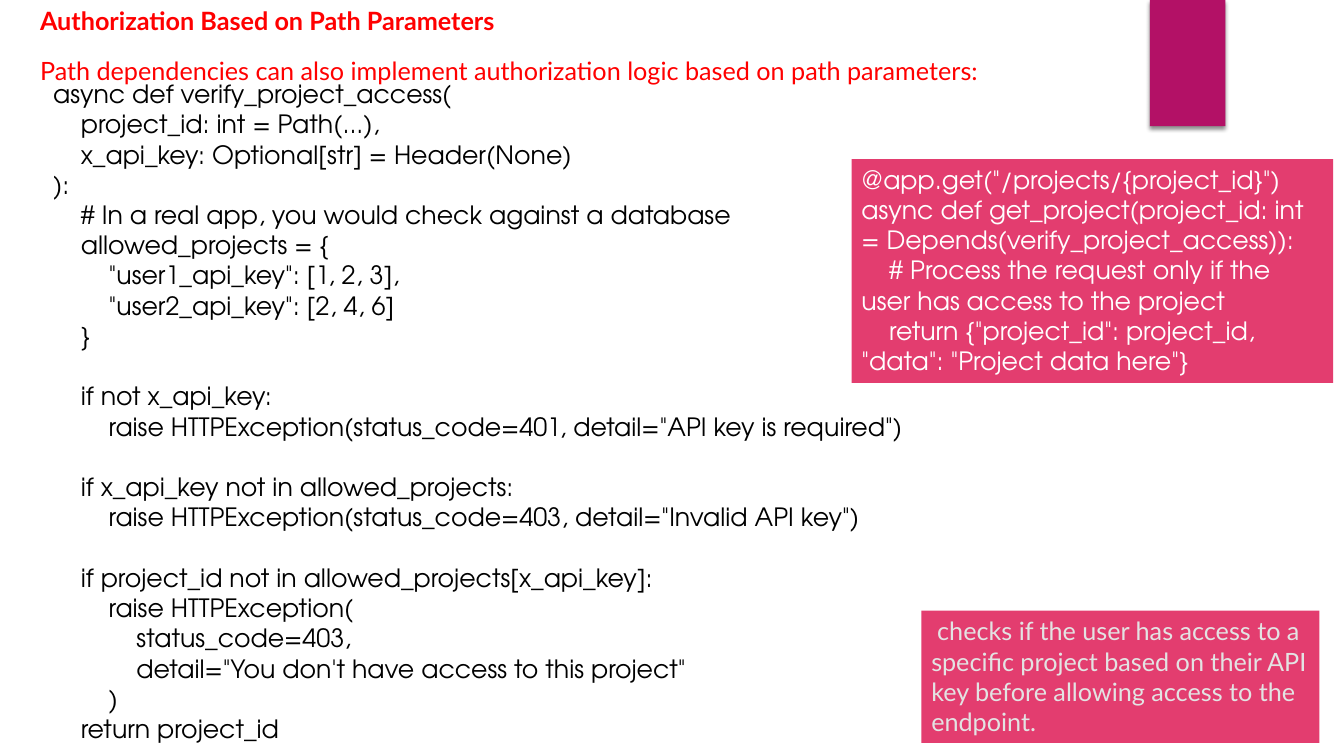
import pptx
import pptx.util
import pptx.dml.color
import pptx.enum.shapes
import pptx.enum.text
import pptx.oxml
import pptx.oxml.ns

Cm, Pt = pptx.util.Cm, pptx.util.Pt
RGBColor = pptx.dml.color.RGBColor

BLACK = RGBColor(0x00, 0x00, 0x00)
WHITE = RGBColor(0xFF, 0xFF, 0xFF)
RED = RGBColor(0xFF, 0x00, 0x00)
PALE_GREY = RGBColor(0xE3, 0xE3, 0xE3)
MAGENTA = RGBColor(0xB3, 0x11, 0x66)
PINK = RGBColor(0xE3, 0x3D, 0x6F)

PROSE_FONT, CODE_FONT = "Lato", "TeX Gyre Adventor"
CODE_INDENT = 0.7
BLANK_LINE = Pt(21.6)

HEADING = "Authorization Based on Path Parameters"
SUBHEADING = "Path dependencies can also implement authorization logic based on path parameters:"
DEPENDENCY_BLOCKS = [
    [
        (0, "async def verify_project_access("),
        (1, "project_id: int = Path(...),"),
        (1, "x_api_key: Optional[str] = Header(None)"),
        (0, "):"),
        (1, "# In a real app, you would check against a database"),
        (1, "allowed_projects = {"),
        (2, '"user1_api_key": [1, 2, 3],'),
        (2, '"user2_api_key": [2, 4, 6]'),
        (1, "}"),
    ],
    [
        (1, "if not x_api_key:"),
        (2, 'raise HTTPException(status_code=401, detail="API key is required")'),
    ],
    [
        (1, "if x_api_key not in allowed_projects:"),
        (2, 'raise HTTPException(status_code=403, detail="Invalid API key")'),
    ],
    [
        (1, "if project_id not in allowed_projects[x_api_key]:"),
        (2, "raise HTTPException("),
        (3, "status_code=403,"),
        (3, 'detail="You don\'t have access to this project"'),
        (2, ")"),
        (1, "return project_id"),
    ],
]
ENDPOINT_LINES = [
    (0, '@app.get("/projects/{project_id}")'),
    (0, "async def get_project(project_id: int = Depends(verify_project_access)):"),
    (1, "# Process the request only if the user has access to the project"),
    (1, 'return {"project_id": project_id, "data": "Project data here"}'),
]
NOTE = "checks if the user has access to a specific project based on their API key before allowing access to the endpoint."


def add_line(frame, text, font, color, bold=False, margin=0, first_indent=0):
    """Write one paragraph into the frame, reusing its empty first one."""
    para = frame.paragraphs[0]
    if para.runs:
        para = frame.add_paragraph()
    para.alignment = pptx.enum.text.PP_ALIGN.LEFT
    properties = para._p.get_or_add_pPr()
    properties.set("marL", str(Cm(margin)))
    properties.set("indent", str(Cm(first_indent)))
    span = para.add_run()
    span.text = text
    span.font.name = font
    span.font.size = Pt(18)
    span.font.bold = bold
    span.font.color.rgb = color
    return para


def add_text_frame(page, box):
    """Add a wrapping text box and return its frame."""
    frame = page.shapes.add_textbox(*map(Cm, box)).text_frame
    frame.word_wrap = True
    return frame


def add_panel(page, box, color):
    """Add a plain filled rectangle."""
    panel = page.shapes.add_shape(pptx.enum.shapes.MSO_SHAPE.RECTANGLE, *map(Cm, box))
    panel.shadow.inherit = False
    panel.fill.solid()
    panel.fill.fore_color.rgb = color
    panel.line.fill.background()
    panel.text_frame.word_wrap = True
    panel.text_frame.vertical_anchor = pptx.enum.text.MSO_ANCHOR.TOP
    return panel


def add_ribbon(page, box):
    """Add the corner ribbon with its soft drop shadow."""
    ribbon = add_panel(page, box, MAGENTA)
    effects = ribbon._element.spPr.find(pptx.oxml.ns.qn("a:effectLst"))
    effects.append(pptx.oxml.parse_xml(
        f'<a:outerShdw {pptx.oxml.ns.nsdecls("a")} blurRad="{Pt(3)}" dist="{Pt(2)}" '
        'dir="5400000" rotWithShape="0"><a:srgbClr val="000000">'
        '<a:alpha val="45000"/></a:srgbClr></a:outerShdw>'))


def add_heading(page, box):
    """Add the bold heading and the sentence under it."""
    frame = add_text_frame(page, box)
    for text, bold in ((HEADING, True), (SUBHEADING, False)):
        add_line(frame, text, PROSE_FONT, RED, bold).space_after = Pt(14.2)


def add_dependency_code(page, box):
    """Add the dependency listing, its blocks set one line apart."""
    frame = add_text_frame(page, box)
    for number, block in enumerate(DEPENDENCY_BLOCKS):
        for row, (level, text) in enumerate(block):
            para = add_line(frame, text, CODE_FONT, BLACK, margin=level * CODE_INDENT)
            if number and row == 0:
                para.space_before = BLANK_LINE


def add_endpoint_code(page, box):
    """Add the endpoint listing on a pink panel."""
    frame = add_panel(page, box, PINK).text_frame
    for level, text in ENDPOINT_LINES:
        add_line(frame, text, CODE_FONT, WHITE, first_indent=level * CODE_INDENT)


def add_note(page, box):
    """Add the explanation on a pink panel."""
    frame = add_panel(page, box, PINK).text_frame
    add_line(frame, NOTE, PROSE_FONT, PALE_GREY, first_indent=0.15)


def main():
    """Build the slide and save it."""
    deck = pptx.Presentation()
    deck.slide_width, deck.slide_height = Cm(33.87), Cm(19.05)
    page = deck.slides.add_slide(deck.slide_layouts[6])
    add_ribbon(page, (28.98, 0, 1.9, 3.18))
    add_heading(page, (0.76, 0, 25.63, 2.29))
    add_dependency_code(page, (1.09, 1.85, 23.8, 17.2))
    add_endpoint_code(page, (21.46, 4.01, 12.14, 5.64))
    add_note(page, (23.22, 15.39, 10.03, 3.33))
    deck.save("out.pptx")


if __name__ == "__main__":
    main()
